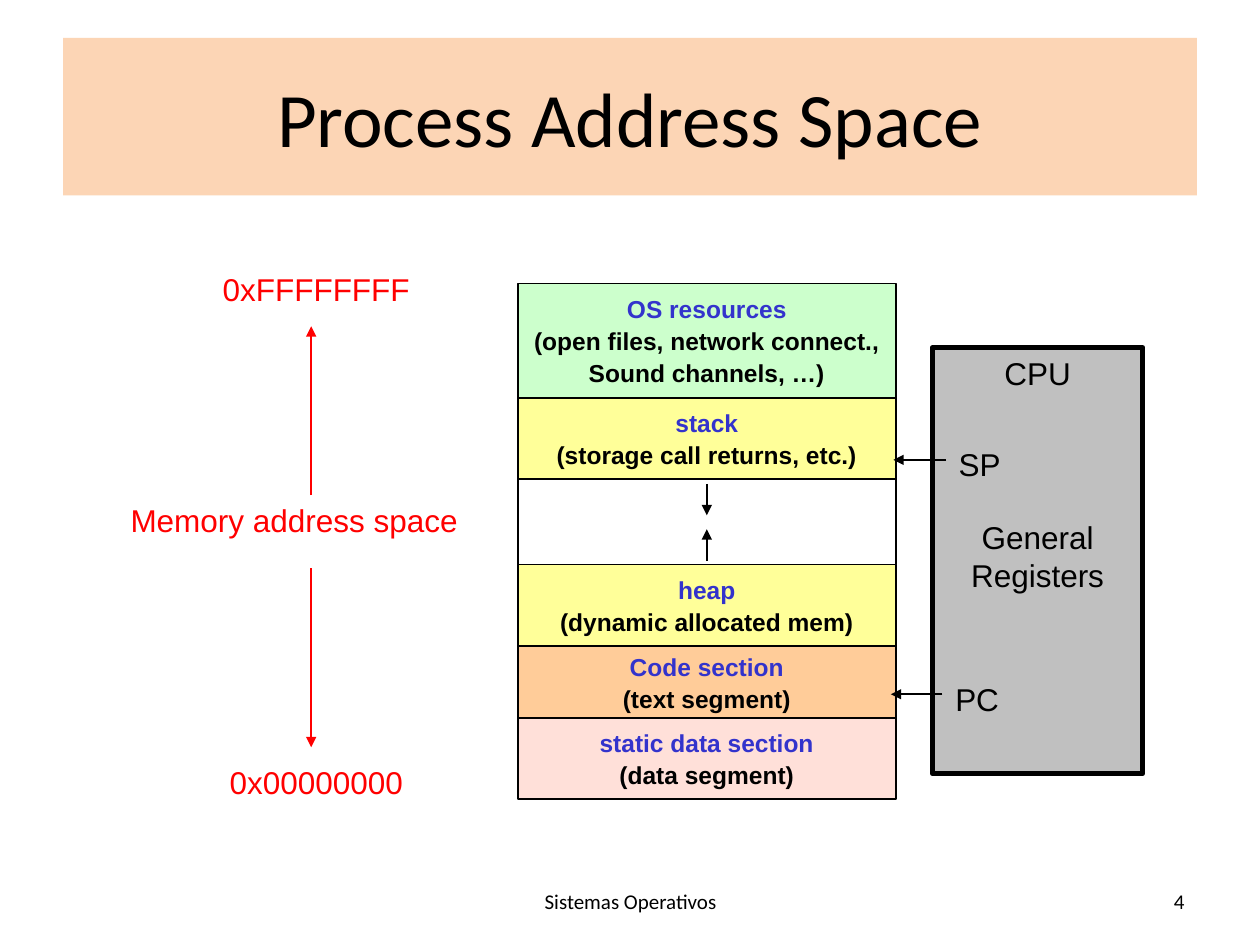
from lxml import etree
from pptx import Presentation
from pptx.dml.color import RGBColor
from pptx.enum.shapes import MSO_CONNECTOR, MSO_SHAPE
from pptx.enum.text import MSO_ANCHOR, PP_ALIGN
from pptx.oxml.ns import qn
from pptx.util import Inches, Pt

RECT = MSO_SHAPE.RECTANGLE
STRAIGHT = MSO_CONNECTOR.STRAIGHT
TOP, MIDDLE = MSO_ANCHOR.TOP, MSO_ANCHOR.MIDDLE
CENTER, RIGHT = PP_ALIGN.CENTER, PP_ALIGN.RIGHT

BLACK = RGBColor(0x00, 0x00, 0x00)
WHITE = RGBColor(0xFF, 0xFF, 0xFF)
RED = RGBColor(0xFF, 0x00, 0x00)
BLUE = RGBColor(0x33, 0x33, 0xCC)
PEACH = RGBColor(0xFC, 0xD5, 0xB5)
GREEN = RGBColor(0xCC, 0xFF, 0xCC)
YELLOW = RGBColor(0xFF, 0xFF, 0x99)
ORANGE = RGBColor(0xFF, 0xCC, 0x99)
PINK = RGBColor(0xFF, 0xE0, 0xD9)
GRAY = RGBColor(0xC0, 0xC0, 0xC0)

prs = Presentation()
prs.slide_width, prs.slide_height = Inches(10), Inches(7.5)
COL, ROW = prs.slide_width / 100, prs.slide_height / 75
s = prs.slides.add_slide(prs.slide_layouts[5])


def write(sp, lines, size, font="Arial", bold=False, align=CENTER,
          anchor=TOP, wrap=False, gap=0):
    tf = sp.text_frame
    tf.word_wrap = wrap
    tf.vertical_anchor = anchor
    for i, (text, color) in enumerate(lines):
        p = tf.add_paragraph() if i else tf.paragraphs[0]
        p.alignment = align
        p.space_before = Pt(gap if i else 0)
        r = p.add_run()
        r.text = text
        r.font.name, r.font.size, r.font.bold = font, Pt(size), bold
        r.font.color.rgb = color


def add_rect(x, y, w, h, fill, line_width):
    sp = s.shapes.add_shape(RECT, int(x * COL), int(y * ROW), int(w * COL), int(h * ROW))
    sp.shadow.inherit = False
    sp.fill.solid()
    sp.fill.fore_color.rgb = fill
    sp.line.color.rgb = BLACK
    sp.line.width = Pt(line_width)
    return sp


title = s.shapes.title
title.left, title.top = int(5 * COL), int(3 * ROW)
title.width, title.height = int(90 * COL), int(12.5 * ROW)
title.fill.solid()
title.fill.fore_color.rgb = PEACH
write(title, [("Process Address Space", BLACK)], 44, "Calibri", anchor=MIDDLE, wrap=True)

segments = [
    (9.1, GREEN, ["OS resources", "(open files, network connect.,", "Sound channels, …)"]),
    (6.4, YELLOW, ["stack", "(storage call returns, etc.)"]),
    (6.8, WHITE, []),
    (6.5, YELLOW, ["heap", "(dynamic allocated mem)"]),
    (5.7, ORANGE, ["Code section", "(text segment)"]),
    (6.4, PINK, ["static data section", "(data segment)"]),
]
y = 22.5
for height, fill, texts in segments:
    sp = add_rect(41.1, y, 30, height, fill, 1)
    lines = [(text, BLACK if i else BLUE) for i, text in enumerate(texts)]
    write(sp, lines, 14, bold=True, anchor=MIDDLE, gap=1.5)
    y += height

cpu = add_rect(74, 27.6, 16.7, 33.8, GRAY, 3)
write(cpu, [("CPU", BLACK), ("General Registers", BLACK)], 18, wrap=True, gap=72)

labels = [
    (16, 60.1, 18.2, "0x00000000", RED, 18, "Arial", CENTER, TOP),
    (16, 20.9, 18.2, "0xFFFFFFFF", RED, 18, "Arial", CENTER, TOP),
    (8.3, 39.3, 30.1, "Memory address space", RED, 18, "Arial", CENTER, TOP),
    (74, 53.5, 7.1, "PC", BLACK, 18, "Arial", CENTER, TOP),
    (74.2, 34.8, 7.1, "SP", BLACK, 18, "Arial", CENTER, TOP),
    (34.2, 69.5, 31.7, "Sistemas Operativos", BLACK, 12, "Calibri", CENTER, MIDDLE),
    (71.7, 69.5, 23.3, "4", BLACK, 12, "Calibri", RIGHT, MIDDLE),
]
for x, y, w, text, color, size, font, align, anchor in labels:
    sp = s.shapes.add_textbox(int(x * COL), int(y * ROW), int(w * COL), int(4 * ROW))
    write(sp, [(text, color)], size, font, align=align, anchor=anchor, wrap=True)

arrows = [
    (24.7, 39.3, 24.7, 25.9, RED),
    (24.7, 45.1, 24.7, 59.3, RED),
    (56.1, 38.4, 56.1, 40.9, BLACK),
    (56.1, 44.5, 56.1, 42, BLACK),
    (75.1, 36.5, 70.9, 36.5, BLACK),
    (74.8, 55.1, 70.7, 55.1, BLACK),
]
for x1, y1, x2, y2, color in arrows:
    line = s.shapes.add_connector(STRAIGHT, int(x1 * COL), int(y1 * ROW),
                                  int(x2 * COL), int(y2 * ROW))
    line.line.color.rgb = color
    line.line.width = Pt(1)
    spPr = line._element.spPr
    etree.SubElement(spPr.find(qn("a:ln")), qn("a:tailEnd"), type="triangle")
    etree.SubElement(spPr, qn("a:effectLst"))

prs.save("out.pptx")
